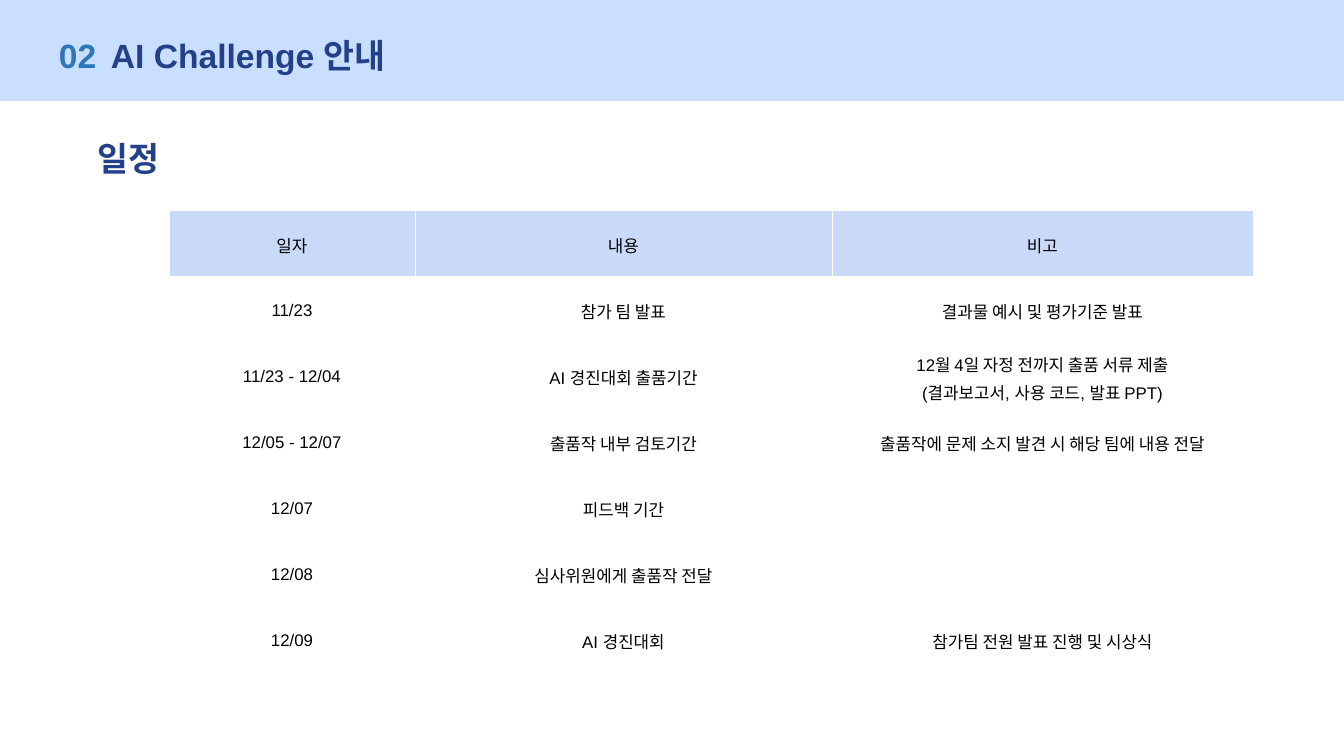
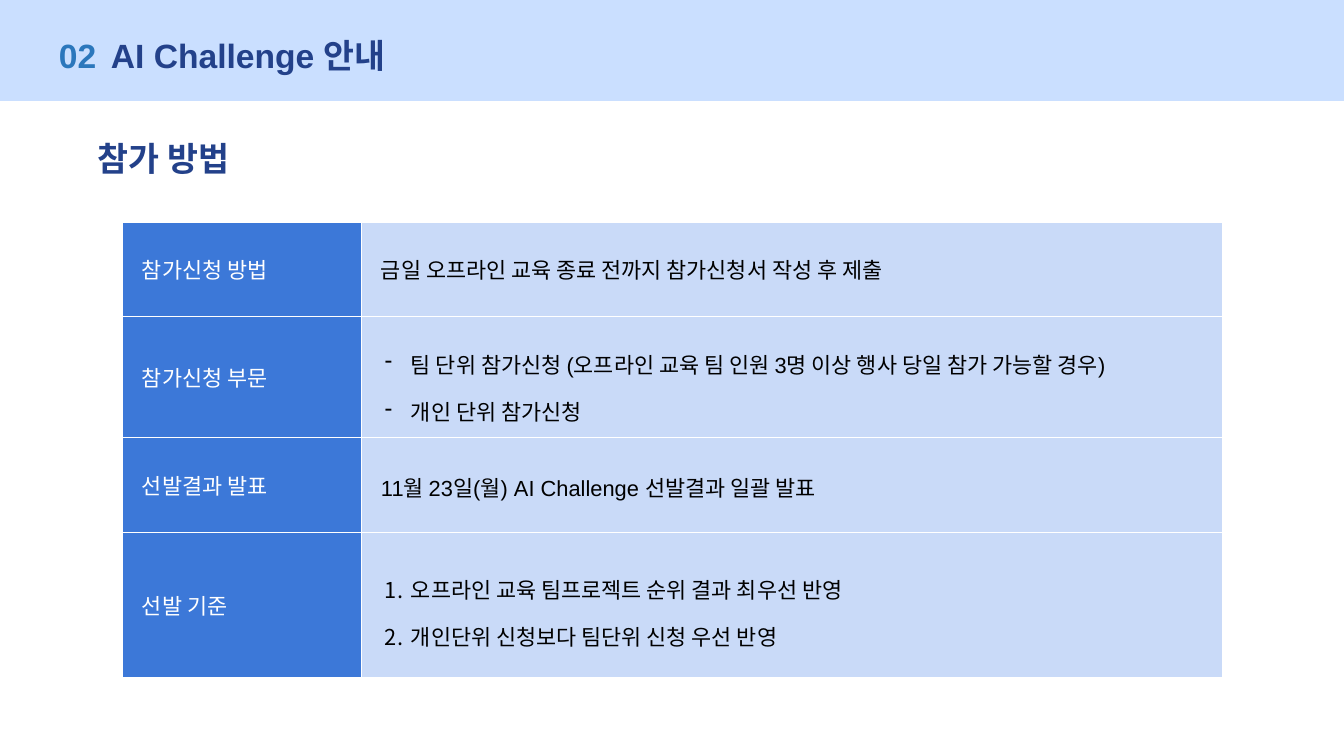
"""Builds two slides about an AI challenge: its schedule and how to apply."""
from lxml import etree
from pptx import Presentation
from pptx.dml.color import RGBColor
from pptx.enum.shapes import MSO_SHAPE
from pptx.enum.text import MSO_ANCHOR, PP_ALIGN
from pptx.oxml.ns import qn
from pptx.util import Pt

RECTANGLE = MSO_SHAPE.RECTANGLE
MIDDLE = MSO_ANCHOR.MIDDLE
LEFT, CENTER = PP_ALIGN.LEFT, PP_ALIGN.CENTER

EMU_PER_PX = 15114
SLIDE_WIDTH, SLIDE_HEIGHT = 1344, 756
BAND_HEIGHT = 101
FONT = "Arial"
BAND, SKY, NAVY = "CADFFF", "2B77BC", "23418A"
PALE, BLUE, WHITE, BLACK = "C9DAF8", "3C78D8", "FFFFFF", "000000"
DASH = ("buChar", {"char": "-"})
NUMBER = ("buAutoNum", {"type": "arabicPeriod"})

SECTION = [("02", 59, 53, SKY), ("AI Challenge 안내", 111, 401, NAVY)]
SCHEDULE = [
    ("일자", "내용", "비고"),
    ("11/23", "참가 팀 발표", "결과물 예시 및 평가기준 발표"),
    ("11/23 - 12/04", "AI 경진대회 출품기간",
     "12월 4일 자정 전까지 출품 서류 제출\n(결과보고서, 사용 코드, 발표 PPT)"),
    ("12/05 - 12/07", "출품작 내부 검토기간",
     "출품작에 문제 소지 발견 시 해당 팀에 내용 전달"),
    ("12/07", "피드백 기간", ""),
    ("12/08", "심사위원에게 출품작 전달", ""),
    ("12/09", "AI 경진대회", "참가팀 전원 발표 진행 및 시상식"),
]
APPLICATION = [
    ("참가신청 방법", "금일 오프라인 교육 종료 전까지 참가신청서 작성 후 제출",
     {}),
    ("참가신청 부문",
     "팀 단위 참가신청 (오프라인 교육 팀 인원 3명 이상 행사 당일 참가 가능할 경우)\n"
     "개인 단위 참가신청",
     {"bullet": DASH, "spacing": 1.5, "bottom": 0}),
    ("선발결과 발표", "11월 23일(월) AI Challenge 선발결과 일괄 발표",
     {"spacing": 1.15}),
    ("선발 기준",
     "오프라인 교육 팀프로젝트 순위 결과 최우선 반영\n"
     "개인단위 신청보다 팀단위 신청 우선 반영",
     {"bullet": NUMBER, "spacing": 1.5}),
]


def px(length):
    return length * EMU_PER_PX


def color(code):
    return RGBColor.from_string(code)


def add_bullet(paragraph, bullet):
    tag, attributes = bullet
    properties = paragraph._p.get_or_add_pPr()
    properties.set("marL", str(px(30)))
    properties.set("indent", str(px(-26)))
    bullet_color = etree.SubElement(properties, qn("a:buClr"))
    etree.SubElement(bullet_color, qn("a:srgbClr"), val=BLACK)
    etree.SubElement(properties, qn("a:" + tag), attributes)


def write(frame, text, size, ink, bold=False, align=LEFT, spacing=1.0, bullet=None):
    for index, line in enumerate(text.split("\n")):
        paragraph = frame.add_paragraph() if index else frame.paragraphs[0]
        paragraph.alignment = align
        paragraph.line_spacing = spacing
        if bullet:
            add_bullet(paragraph, bullet)
        run = paragraph.add_run()
        run.text = line
        run.font.name = FONT
        run.font.size = Pt(size)
        run.font.bold = bold
        run.font.color.rgb = color(ink)


def add_title(slide, text, left, top, width, ink, inset=0):
    box = slide.shapes.add_textbox(px(left), px(top), px(width), px(47))
    frame = box.text_frame
    frame.word_wrap = True
    frame.vertical_anchor = MIDDLE
    frame.margin_left = px(inset)
    write(frame, text, 40, ink, bold=True)


def add_page(presentation, heading):
    slide = presentation.slides.add_slide(presentation.slide_layouts[6])
    band = slide.shapes.add_shape(RECTANGLE, 0, 0, px(SLIDE_WIDTH), px(BAND_HEIGHT))
    band.shadow.inherit = False
    band.fill.solid()
    band.fill.fore_color.rgb = color(BAND)
    band.line.fill.background()
    for text, left, width, ink in SECTION:
        add_title(slide, text, left, 32, width, ink)
    add_title(slide, heading, 92, 135, 243, NAVY, inset=6)
    return slide


def add_grid(slide, left, top, widths, heights):
    table = slide.shapes.add_table(
        len(heights), len(widths), px(left), px(top),
        px(sum(widths)), px(sum(heights))).table
    table.first_row = table.horz_banding = False
    for column, width in zip(table.columns, widths):
        column.width = px(width)
    for row, height in zip(table.rows, heights):
        row.height = px(height)
    return table


def fill_cell(cell, text, fill, size, ink, border, left=6, bottom=6, **style):
    cell.vertical_anchor = MIDDLE
    cell.margin_left = px(left)
    cell.margin_right = cell.margin_top = px(6)
    cell.margin_bottom = px(bottom)
    properties = cell._tc.get_or_add_tcPr()
    for side in ("lnL", "lnR", "lnT", "lnB"):
        line = etree.SubElement(properties, qn("a:" + side), w=str(Pt(border)))
        solid = etree.SubElement(line, qn("a:solidFill"))
        etree.SubElement(solid, qn("a:srgbClr"), val=WHITE)
    cell.fill.solid()
    cell.fill.fore_color.rgb = color(fill)
    if text:
        write(cell.text_frame, text, size, ink, **style)


def add_schedule(presentation):
    slide = add_page(presentation, "일정")
    table = add_grid(slide, 169, 210, [246, 417, 421], [66] * len(SCHEDULE))
    for row, texts in enumerate(SCHEDULE):
        for column, text in enumerate(texts):
            fill_cell(table.cell(row, column), text, WHITE if row else PALE,
                      20, BLACK, 1.09, align=CENTER, spacing=1.15)


def add_application(presentation):
    slide = add_page(presentation, "참가 방법")
    table = add_grid(slide, 122, 222, [239, 861], [94, 121, 95, 145])
    for row, (label, text, style) in enumerate(APPLICATION):
        fill_cell(table.cell(row, 0), label, BLUE, 26, WHITE, 0.75, left=20)
        fill_cell(table.cell(row, 1), text, PALE, 26, BLACK, 0.75, left=20, **style)


def main():
    presentation = Presentation()
    presentation.slide_width = px(SLIDE_WIDTH)
    presentation.slide_height = px(SLIDE_HEIGHT)
    add_schedule(presentation)
    add_application(presentation)
    presentation.save("out.pptx")


if __name__ == "__main__":
    main()
